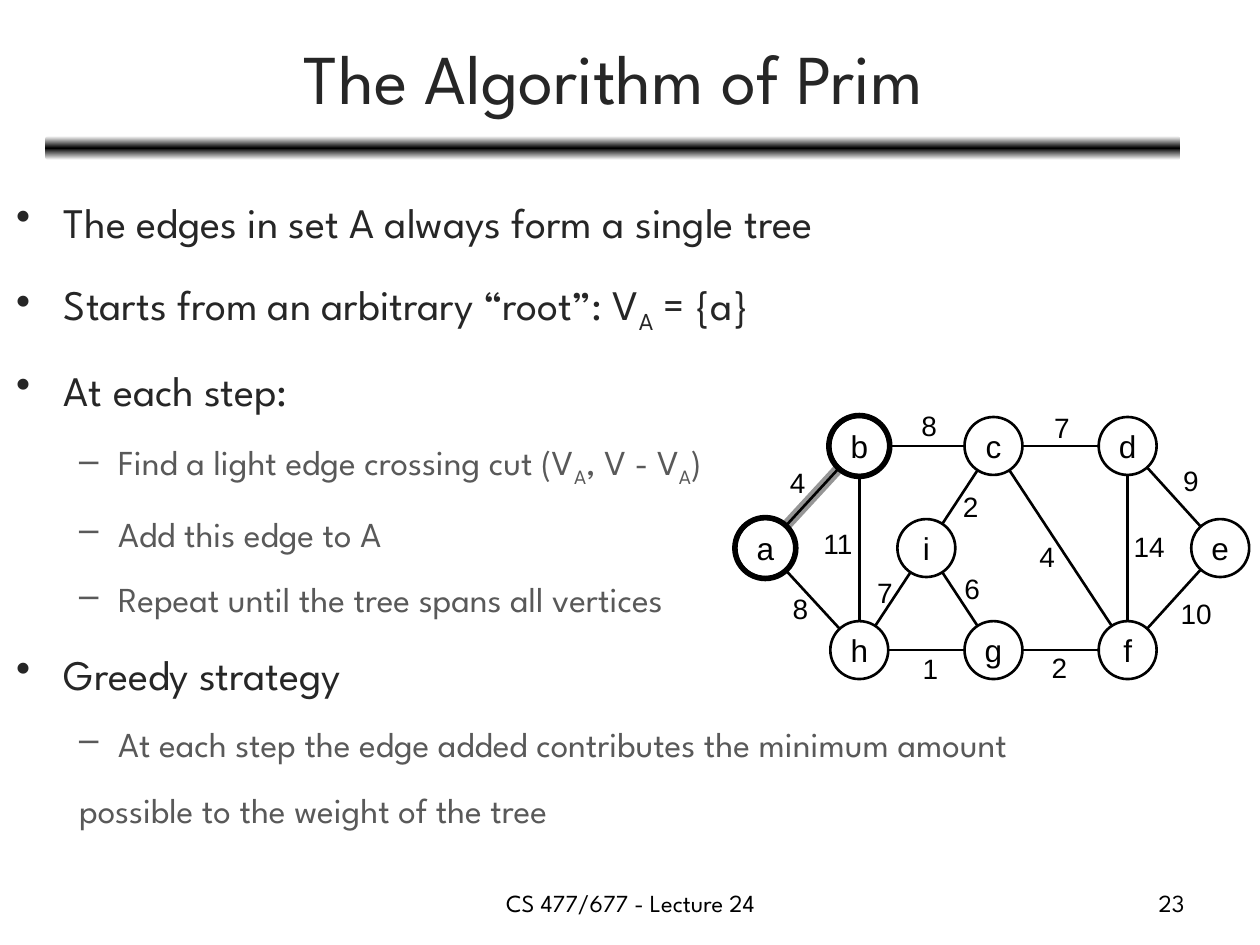
"""Build a lecture slide on the algorithm of Prim with its weighted graph."""
import math
from copy import deepcopy
from typing import NamedTuple

from lxml import etree
from pptx import Presentation
from pptx.dml.color import RGBColor
from pptx.enum import shapes, text
from pptx.oxml.ns import qn
from pptx import util as u

WIDTH, HEIGHT = 10, 7.5
BODY_FONT, GRAPH_FONT = "League Spartan", "Arial"
INK, HEADING, DETAIL, HIGHLIGHT = "000000", "262626", "595959", "969696"
GRID_LEFT, GRID_TOP, COLUMN, ROW = 6.82, 3.54, 1.065, 0.81
RADIUS, RING_RADIUS = 0.23, 0.243


class Level(NamedTuple):
    size: int
    color: str
    margin: float
    indent: float


class Point(NamedTuple):
    level: int
    bullet: str
    wording: str


class Edge(NamedTuple):
    start: str
    end: str
    weight: str
    column: float
    row: float


LEVELS = [Level(24, HEADING, 0.38, -0.38), Level(20, DETAIL, 0.81, -0.31)]

# Underscores mark the single letter that follows as a subscript.
POINTS = [
    Point(0, "•", "The edges in set A always form a single tree"),
    Point(0, "•", "Starts from an arbitrary “root”: V_A = {a}"),
    Point(0, "•", "At each step:"),
    Point(1, "–", "Find a light edge crossing cut (V_A, V - V_A)"),
    Point(1, "–", "Add this edge to A"),
    Point(1, "–", "Repeat until the tree spans all vertices"),
    Point(0, "•", "Greedy strategy"),
    Point(1, "–", "At each step the edge added contributes the minimum amount"),
    Point(1, "", "possible to the weight of the tree"),
]

VERTICES = {
    "a": (-0.7, 1), "b": (0, 0), "c": (1, 0), "d": (2, 0), "e": (2.69, 1),
    "h": (0, 2), "g": (1, 2), "f": (2, 2), "i": (0.5, 1),
}
TREE_VERTICES = "ba"

EDGES = [
    Edge("a", "b", "4", -0.46, 0.36), Edge("b", "c", "8", 0.52, -0.2),
    Edge("c", "d", "7", 1.51, -0.18), Edge("a", "h", "8", -0.44, 1.59),
    Edge("b", "h", "11", -0.16, 0.96), Edge("h", "g", "1", 0.53, 2.18),
    Edge("g", "f", "2", 1.49, 2.17), Edge("h", "i", "7", 0.19, 1.44),
    Edge("i", "c", "2", 0.83, 0.59), Edge("c", "f", "4", 1.4, 1.08),
    Edge("d", "f", "14", 2.16, 0.99), Edge("d", "e", "9", 2.47, 0.34),
    Edge("f", "e", "10", 2.51, 1.64), Edge("i", "g", "6", 0.84, 1.4),
]


def rgb(color: str) -> RGBColor:
    """Turn a hex string into a colour."""
    return RGBColor.from_string(color)


def place(column: float, row: float) -> tuple[float, float]:
    """Give the slide position of a point on the graph's grid."""
    return GRID_LEFT + column * COLUMN, GRID_TOP + row * ROW


def style(paragraph, size: int, face: str, color: str) -> None:
    """Set the font of a whole paragraph."""
    paragraph.font.size = u.Pt(size)
    paragraph.font.name = face
    paragraph.font.color.rgb = rgb(color)


def add_text(parent, wording, left, top, width, height, size, face=BODY_FONT,
             color=INK, align=text.PP_ALIGN.CENTER, anchor=text.MSO_ANCHOR.TOP, wrap=True):
    """Add a text box with one styled paragraph."""
    box = parent.add_textbox(*map(u.Inches, (left, top, width, height)))
    frame = box.text_frame
    frame.word_wrap, frame.vertical_anchor = wrap, anchor
    paragraph = frame.paragraphs[0]
    paragraph.text, paragraph.alignment = wording, align
    style(paragraph, size, face, color)
    return box


def add_rule(parent) -> None:
    """Add the shaded bar under the title."""
    bar = parent.add_shape(shapes.MSO_SHAPE.ROUNDED_RECTANGLE,
                           *map(u.Inches, (0.36, 1.08, 9.01, 0.19)))
    bar.shadow.inherit = False
    bar.line.fill.background()
    bar.fill.gradient()
    bar.fill.gradient_angle = 90
    stop_list = bar._element.spPr.find(".//" + qn("a:gsLst"))
    stop_list.append(deepcopy(stop_list[0]))
    for stop, position, color in zip(bar.fill.gradient_stops, (0, 0.5, 1), ("FFFFFF", INK, "FFFFFF")):
        stop.position = position
        stop.color.rgb = rgb(color)


def add_points(parent) -> None:
    """Add the bulleted outline."""
    box = parent.add_textbox(*map(u.Inches, (0.03, 1.35, 9.96, 5.55)))
    frame = box.text_frame
    frame.word_wrap = True
    for number, point in enumerate(POINTS):
        level = LEVELS[point.level]
        paragraph = frame.add_paragraph() if number else frame.paragraphs[0]
        paragraph.level = point.level
        paragraph.line_spacing = 1.4
        paragraph.space_before = u.Pt(level.size * 0.2 if number else 0)
        properties = paragraph._p.get_or_add_pPr()
        properties.set("marL", str(u.Inches(level.margin)))
        properties.set("indent", str(u.Inches(level.indent)))
        if point.bullet:
            etree.SubElement(properties, qn("a:buChar")).set("char", point.bullet)
        else:
            etree.SubElement(properties, qn("a:buNone"))
        style(paragraph, level.size, BODY_FONT, level.color)
        first, *others = point.wording.split("_")
        paragraph.add_run().text = first
        for part in others:
            subscript = paragraph.add_run()
            subscript.text = part[0]
            subscript.font._element.set("baseline", "-25000")
            paragraph.add_run().text = part[1:]


def add_circle(parent, vertex: str, radius: float, weight: float, label: str = "") -> None:
    """Add an unfilled circle around a vertex."""
    x, y = place(*VERTICES[vertex])
    circle = parent.add_shape(shapes.MSO_SHAPE.OVAL, *map(
        u.Inches, (x - radius, y - radius, 2 * radius, 2 * radius)))
    circle.shadow.inherit = False
    circle.fill.background()
    circle.line.color.rgb = rgb(INK)
    circle.line.width = u.Pt(weight)
    if label:
        frame = circle.text_frame
        frame.word_wrap, frame.vertical_anchor = False, text.MSO_ANCHOR.MIDDLE
        paragraph = frame.paragraphs[0]
        paragraph.text, paragraph.alignment = label, text.PP_ALIGN.CENTER
        style(paragraph, 18, GRAPH_FONT, INK)


def add_edge(parent, edge: Edge, color: str, weight: float) -> None:
    """Add a line between the rims of two vertices."""
    x1, y1 = place(*VERTICES[edge.start])
    x2, y2 = place(*VERTICES[edge.end])
    trim = RADIUS / math.hypot(x2 - x1, y2 - y1)
    dx, dy = (x2 - x1) * trim, (y2 - y1) * trim
    line = parent.add_connector(shapes.MSO_CONNECTOR.STRAIGHT, *map(
        u.Inches, (x1 + dx, y1 + dy, x2 - dx, y2 - dy)))
    line.line.color.rgb = rgb(color)
    line.line.width = u.Pt(weight)
    etree.SubElement(line._element.spPr, qn("a:effectLst"))


def add_graph(parent) -> None:
    """Add the weighted graph with the tree grown so far."""
    add_edge(parent, EDGES[0], HIGHLIGHT, 6)
    graph = parent.add_group_shape().shapes
    for vertex in VERTICES:
        add_circle(graph, vertex, RADIUS, 1.5, vertex)
    for edge in EDGES:
        add_edge(graph, edge, INK, 1.5)
    for edge in EDGES:
        x, y = place(edge.column, edge.row)
        width = 0.19 + 0.13 * len(edge.weight)
        add_text(graph, edge.weight, x - width / 2, y - 0.185, width, 0.37, 16, GRAPH_FONT, wrap=False)
    for vertex in TREE_VERTICES:
        add_circle(parent, vertex, RING_RADIUS, 3)


def main() -> None:
    """Compose the slide and save it."""
    deck = Presentation()
    deck.slide_width, deck.slide_height = u.Inches(WIDTH), u.Inches(HEIGHT)
    parts = deck.slides.add_slide(deck.slide_layouts[6]).shapes
    add_rule(parts)
    add_text(parts, "The Algorithm of Prim", 0.37, 0.11, 9, 0.99, 40, color=HEADING, anchor=text.MSO_ANCHOR.MIDDLE)
    add_points(parts)
    add_graph(parts)
    add_text(parts, "CS 477/677 - Lecture 24", 3.42, 7, 3.17, 0.35, 14)
    add_text(parts, "23", 7.17, 7, 2.33, 0.35, 14, align=text.PP_ALIGN.RIGHT)
    deck.save("out.pptx")


if __name__ == "__main__":
    main()
